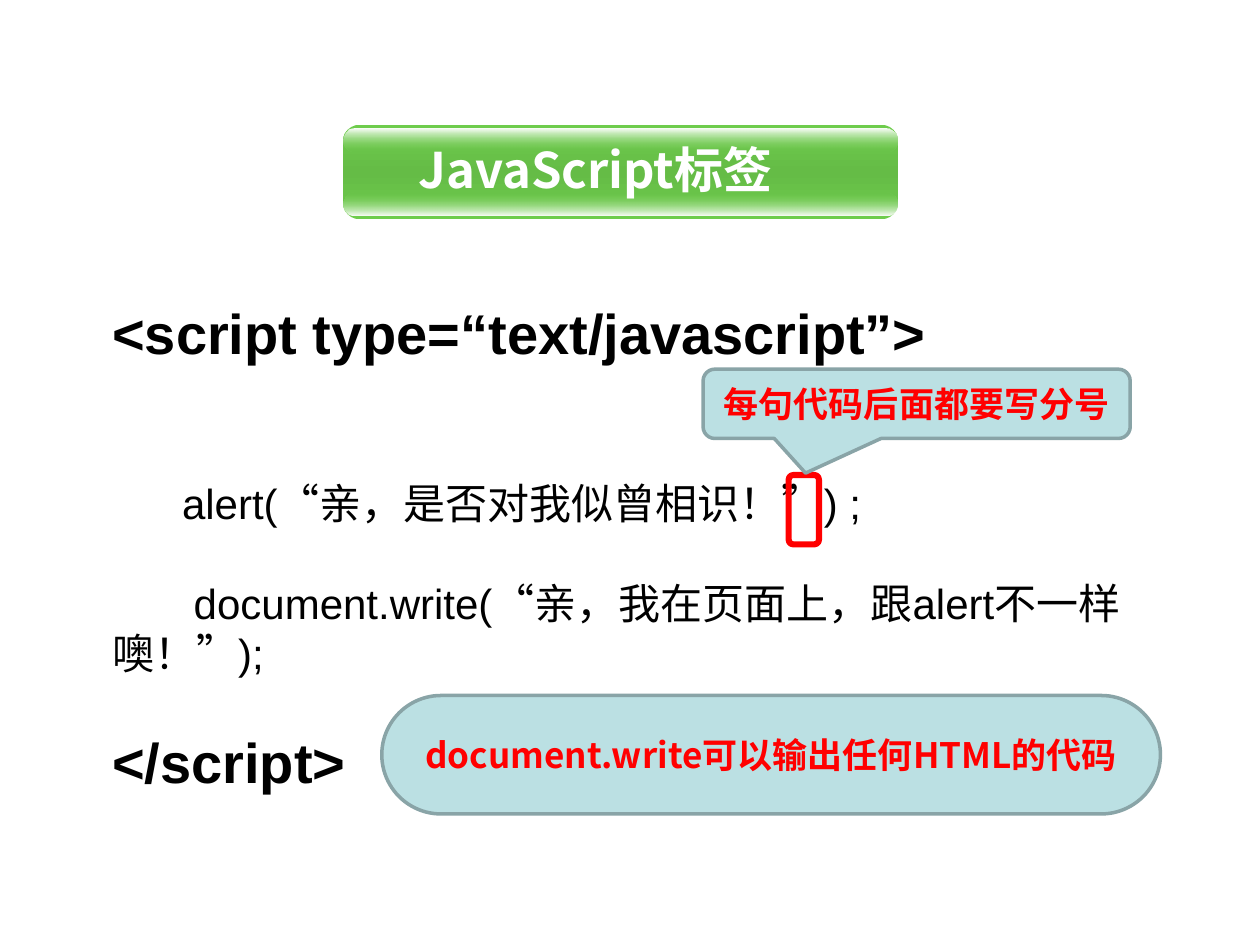
from lxml.etree import SubElement
from pptx import Presentation
from pptx.dml.color import RGBColor
from pptx.enum.shapes import MSO_SHAPE
from pptx.enum.text import MSO_ANCHOR, MSO_AUTO_SIZE, PP_ALIGN
from pptx.oxml import parse_xml
from pptx.oxml.ns import nsdecls, qn
from pptx.util import Inches, Pt

COLORS = {
    "black": "000000", "white": "FFFFFF", "red": "FF0000",
    "pale": "BBE0E3", "edge": "89A4A7", "green": "6ECC4C", "deep": "65BC46",
}
CODE_FONT, LABEL_FONT = "Arial", "Noto Sans CJK SC"


def style_label(paragraph, size, color):
    paragraph.alignment = PP_ALIGN.CENTER
    font = paragraph.font
    font.size, font.bold, font.name = Pt(size), True, LABEL_FONT
    font.color.rgb = RGBColor.from_string(COLORS[color])
    SubElement(font._element, qn("a:ea"), typeface=LABEL_FONT)


def add_panel(kind, box, adjustments):
    panel = slide.shapes.add_shape(kind, *map(Inches, box))
    panel.shadow.inherit = False
    for index, value in enumerate(adjustments):
        panel.adjustments[index] = value
    return panel


prs = Presentation()
prs.slide_width, prs.slide_height = Inches(10), Inches(7.5)
slide = prs.slides.add_slide(prs.slide_layouts[1])
title, code = slide.shapes.title, slide.placeholders[1]

code.left, code.top, code.width, code.height = map(Inches, (0.79, 2.32, 8.27, 4.1))
code_frame = code.text_frame
code_frame.auto_size = MSO_AUTO_SIZE.NONE
code_frame.vertical_anchor = MSO_ANCHOR.TOP
code_lines = [
    ("<script type=“text/javascript”>", 32, True, 0),
    ("      alert(“亲，是否对我似曾相识！”) ;", 24, False, 64),
    ("       document.write(“亲，我在页面上，跟alert不一样噢！”);", 24, False, 28),
    ("</script>", 32, True, 28),
]
code_frame.text = "\n".join(line[0] for line in code_lines)
for paragraph, (_, size, bold, gap) in zip(code_frame.paragraphs, code_lines):
    paragraph.space_before = Pt(gap)
    properties = paragraph._p.get_or_add_pPr()
    properties.set("marL", "0")
    properties.set("indent", "0")
    SubElement(properties, qn("a:buNone"))
    font = paragraph.font
    font.size, font.bold, font.name = Pt(size), bold, CODE_FONT
    font.color.rgb = RGBColor.from_string(COLORS["black"])

quote_marker = add_panel(MSO_SHAPE.ROUNDED_RECTANGLE, (6.26, 3.77, 0.24, 0.55), [0.15])
quote_marker.fill.background()
quote_marker.line.color.rgb = RGBColor.from_string(COLORS["red"])
quote_marker.line.width = Pt(3.5)

notes = [
    (MSO_SHAPE.ROUNDED_RECTANGULAR_CALLOUT, (5.58, 2.93, 3.39, 0.55),
     [-0.26, 1, 0.17], "每句代码后面都要写分号"),
    (MSO_SHAPE.ROUNDED_RECTANGLE, (3.03, 5.52, 6.18, 0.94),
     [0.5], "document.write可以输出任何HTML的代码"),
]
for kind, box, adjustments, text in notes:
    note = add_panel(kind, box, adjustments)
    note.fill.solid()
    note.fill.fore_color.rgb = RGBColor.from_string(COLORS["pale"])
    note.line.color.rgb = RGBColor.from_string(COLORS["edge"])
    note.line.width = Pt(2)
    note.text_frame.word_wrap = True
    note.text_frame.vertical_anchor = MSO_ANCHOR.MIDDLE
    note.text_frame.text = text
    style_label(note.text_frame.paragraphs[0], 20, "red")

banner_layers = [
    ((2.72, 0.99, 4.41, 0.75), 0.18, [(0, "green", 100), (50, "deep", 100), (100, "green", 100)]),
    ((2.73, 1.53, 4.39, 0.18), 0.5, [(0, "green", 0), (100, "white", 100)]),
    ((2.73, 1.02, 4.39, 0.18), 0.5, [(0, "white", 100), (100, "green", 0)]),
]
for box, rounding, stops in banner_layers:
    layer = add_panel(MSO_SHAPE.ROUNDED_RECTANGLE, box, [rounding])
    layer.line.fill.background()
    stop_xml = "".join(
        f'<a:gs pos="{position * 1000}"><a:srgbClr val="{COLORS[color]}">'
        f'<a:alpha val="{opacity * 1000}"/></a:srgbClr></a:gs>'
        for position, color, opacity in stops
    )
    gradient = parse_xml(
        f'<a:gradFill {nsdecls("a")} rotWithShape="1"><a:gsLst>{stop_xml}</a:gsLst>'
        '<a:lin ang="5400000" scaled="0"/></a:gradFill>'
    )
    layer._element.spPr.find(qn("a:prstGeom")).addnext(gradient)

title.left, title.top, title.width, title.height = map(Inches, (3.03, 1.06, 3.39, 0.57))
title.text_frame.auto_size = MSO_AUTO_SIZE.NONE
title.text_frame.vertical_anchor = MSO_ANCHOR.TOP
title.text_frame.text = "JavaScript标签"
style_label(title.text_frame.paragraphs[0], 28, "white")
slide.shapes._spTree.append(title._element)

prs.save("out.pptx")
